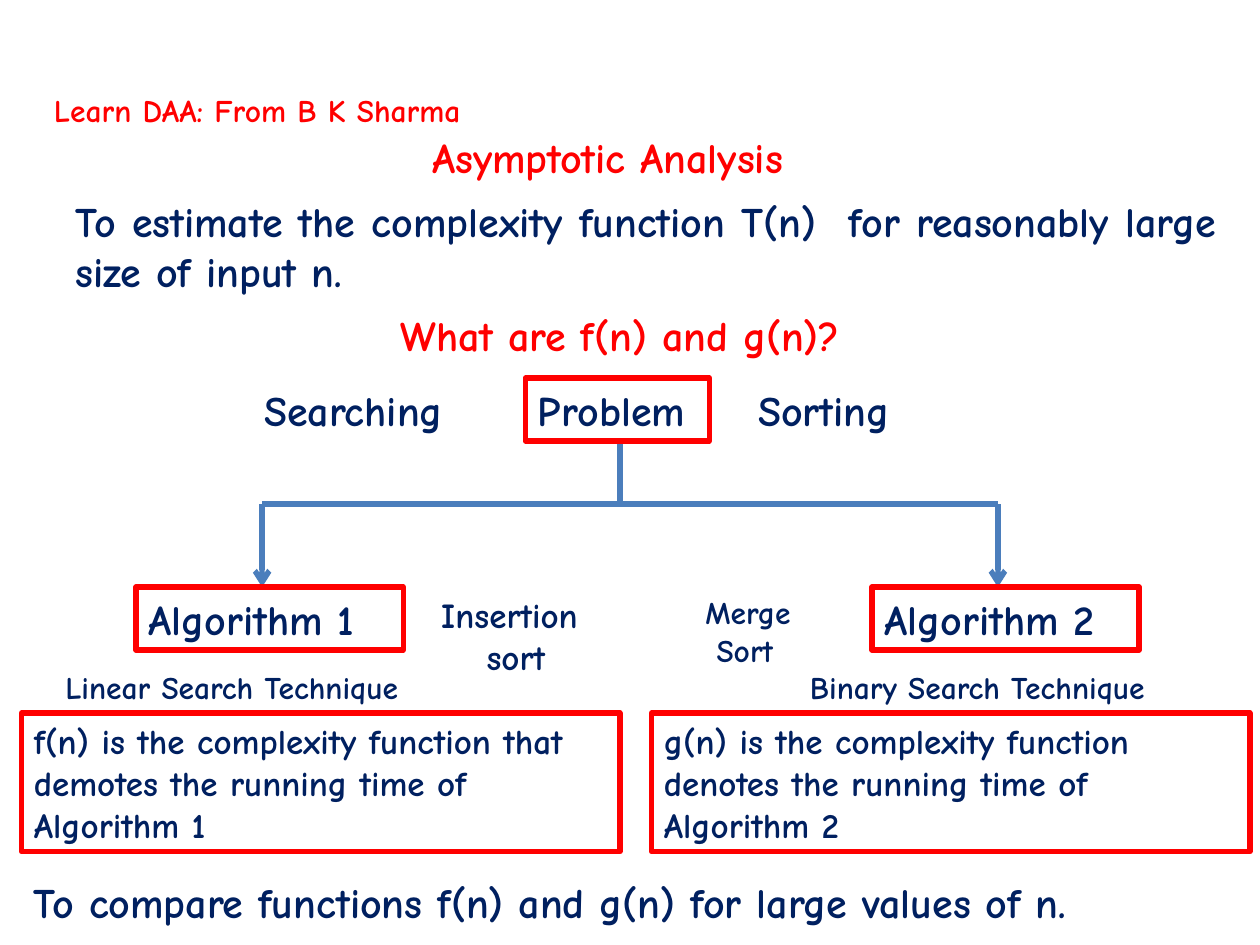
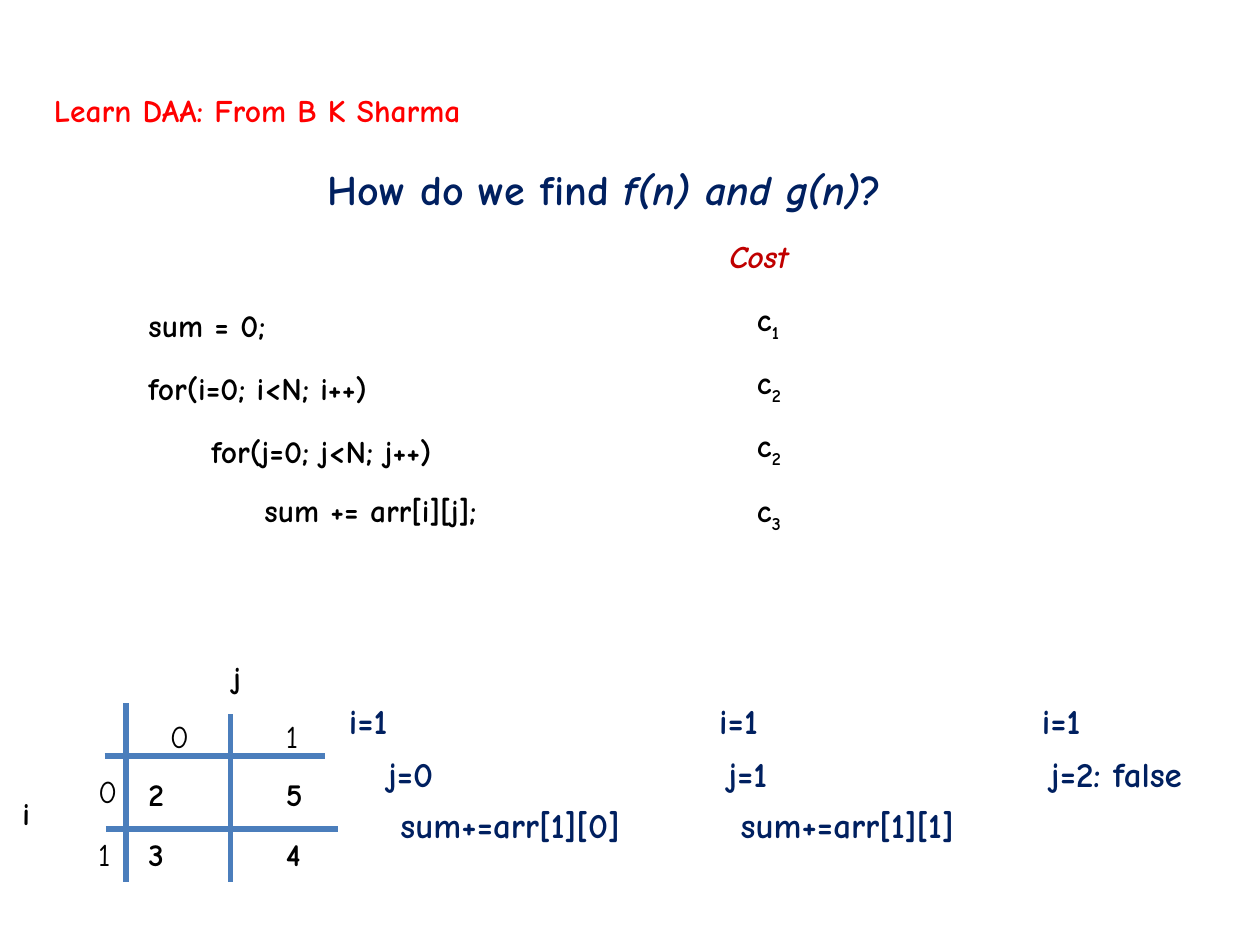
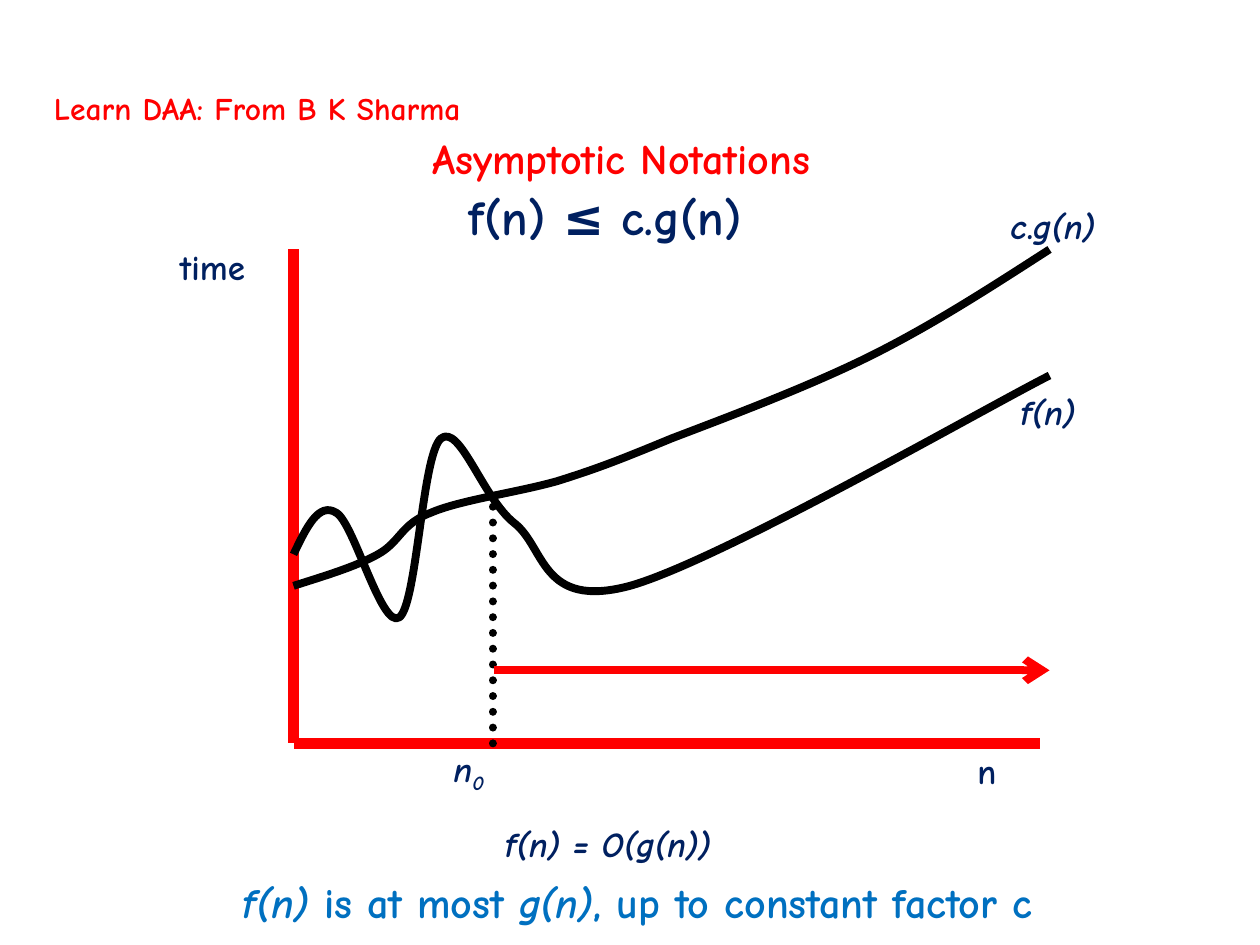
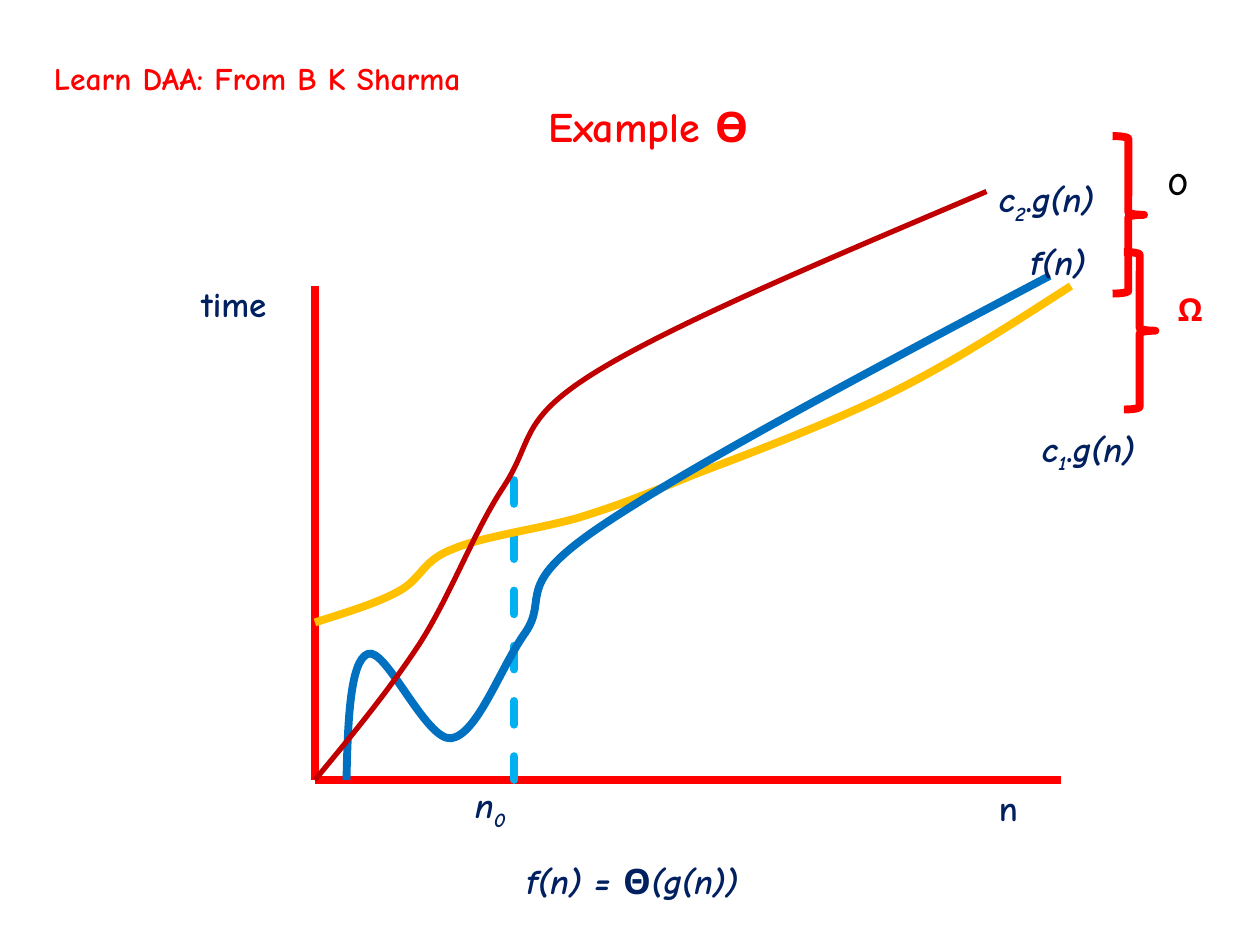
"""Build four lecture slides on asymptotic analysis and its notations."""
from dataclasses import dataclass
from typing import NamedTuple, Optional

from lxml.etree import SubElement
from pptx import Presentation
from pptx.dml.color import RGBColor
from pptx.enum.dml import MSO_LINE
from pptx.enum.shapes import MSO_CONNECTOR, MSO_SHAPE
from pptx.enum.text import MSO_ANCHOR, MSO_AUTO_SIZE, PP_ALIGN
from pptx.oxml.ns import qn
from pptx.util import Inches, Pt

FONT = "Comic Neue"
RED = RGBColor(0xFF, 0x00, 0x00)
DARK_RED = RGBColor(0xC0, 0x00, 0x00)
NAVY = RGBColor(0x00, 0x20, 0x60)
BLUE = RGBColor(0x00, 0x70, 0xC0)
SKY = RGBColor(0x00, 0xB0, 0xF0)
STEEL = RGBColor(0x4B, 0x7E, 0xBC)
GOLD = RGBColor(0xFF, 0xC0, 0x00)
BLACK = RGBColor(0x00, 0x00, 0x00)


class Run(NamedTuple):
    text: str
    italic: bool = False
    sub: bool = False


@dataclass
class Label:
    left: float
    top: float
    width: float
    lines: list[list[Run]]
    size: int = 20
    color: RGBColor = NAVY
    bold: bool = True
    align: PP_ALIGN = PP_ALIGN.LEFT
    wrap: bool = False
    rows: int = 1
    boxed: bool = False

    @property
    def box(self) -> tuple:
        height = 0.1 + max(self.rows, len(self.lines)) * self.size / 60
        return tuple(Inches(v) for v in (self.left, self.top, self.width, height))


@dataclass
class Line:
    start: tuple[float, float]
    end: tuple[float, float]
    color: RGBColor = STEEL
    weight: float = 3
    arrow: bool = False
    dash: Optional[MSO_LINE] = None


@dataclass
class Curve:
    points: list[tuple[float, float]]
    color: RGBColor = BLACK
    weight: float = 4.5


class Plot(NamedTuple):
    x: float
    y: float
    axis_weight: float
    threshold: float
    threshold_color: RGBColor
    threshold_dash: MSO_LINE


F_N = Run("f(n)", True)
G_N = Run("g(n)", True)

GROWTH = [
    (0, 1.25), (0.25, 1.33), (0.49, 1.4), (0.67, 1.5),
    (0.85, 1.6), (0.85, 1.74), (1.09, 1.83),
    (1.32, 1.93), (1.77, 1.99), (2.09, 2.08),
    (2.41, 2.18), (2.59, 2.25), (3, 2.42),
    (3.42, 2.58), (4.09, 2.83), (4.59, 3.08),
    (5.09, 3.33), (5.55, 3.63), (6, 3.92),
]
WAVY_BELOW = [
    (0, 1.5), (0.1, 1.71), (0.2, 1.92), (0.34, 1.83),
    (0.48, 1.75), (0.7, 0.9), (0.84, 1),
    (0.98, 1.1), (1.02, 2.29), (1.17, 2.42),
    (1.32, 2.54), (1.5, 1.95), (1.75, 1.75),
    (2, 1.56), (1.96, 1.06), (2.67, 1.25),
    (3.38, 1.45), (5.45, 2.64), (6, 2.92),
]
WAVY_BETWEEN = [
    (0.25, 0), (0.26, 0.47), (0.28, 0.95), (0.42, 1),
    (0.56, 1.06), (0.88, 0.31), (1.08, 0.33),
    (1.29, 0.36), (1.47, 0.89), (1.67, 1.17),
    (1.86, 1.45), (1.56, 1.53), (2.25, 2),
    (2.94, 2.47), (4.39, 3.24), (5.83, 4),
]
UPPER_BOUND = [
    (0, 0), (0.29, 0.35), (0.58, 0.7), (0.83, 1.08),
    (1.08, 1.47), (1.26, 1.97), (1.5, 2.33),
    (1.74, 2.7), (1.61, 2.86), (2.25, 3.25),
    (2.89, 3.64), (4.11, 4.15), (5.33, 4.67),
]


def plain(text: str) -> list[list[Run]]:
    return [[Run(text)]]


def write(sp, label: Label) -> None:
    tf = sp.text_frame
    tf.word_wrap = label.wrap
    tf.auto_size = MSO_AUTO_SIZE.SHAPE_TO_FIT_TEXT
    tf.vertical_anchor = MSO_ANCHOR.TOP
    for i, runs in enumerate(label.lines):
        p = tf.add_paragraph() if i else tf.paragraphs[0]
        p.alignment = label.align
        for run in runs:
            r = p.add_run()
            r.text = run.text
            font = r.font
            font.name, font.size = FONT, Pt(label.size)
            font.bold, font.italic = label.bold, run.italic
            font.color.rgb = label.color
            if run.sub:
                r._r.get_or_add_rPr().set("baseline", "-25000")


def outline(sp, color: RGBColor, weight: float) -> None:
    sp.shadow.inherit = False
    sp.fill.background()
    sp.line.color.rgb = color
    sp.line.width = Pt(weight)


def draw_labels(s, *labels: Label) -> None:
    for label in labels:
        if label.boxed:
            sp = s.shapes.add_shape(MSO_SHAPE.RECTANGLE, *label.box)
            outline(sp, RED, 3)
        else:
            sp = s.shapes.add_textbox(*label.box)
        write(sp, label)


def draw_lines(s, *lines: Line) -> None:
    for line in lines:
        ends = [Inches(v) for v in (*line.start, *line.end)]
        sp = s.shapes.add_connector(MSO_CONNECTOR.STRAIGHT, *ends)
        sp.line.color.rgb = line.color
        sp.line.width = Pt(line.weight)
        ln = sp.line._get_or_add_ln()
        if line.dash:
            sp.line.dash_style = line.dash
            ln.set("cap", "rnd")
        if line.arrow:
            SubElement(ln, qn("a:tailEnd")).set("type", "arrow")
        SubElement(sp._element.spPr, qn("a:effectLst"))


def draw_curve(s, plot: Plot, curve: Curve) -> None:
    """Draw a chain of cubic Bezier segments, measured up and right from the plot origin."""
    points = [(Inches(plot.x + x), Inches(plot.y - y)) for x, y in curve.points]
    builder = s.shapes.build_freeform(*points[0])
    builder.add_line_segments(points[1:], close=False)
    sp = builder.convert_to_shape()
    outline(sp, curve.color, curve.weight)
    steps = list(sp._element.iter(qn("a:lnTo")))
    for first, second, third in zip(steps[::3], steps[1::3], steps[2::3]):
        first.tag = qn("a:cubicBezTo")
        for step in (second, third):
            first.append(step[0])
            step.getparent().remove(step)


def draw_plot(s, plot: Plot, result: list[Run], *curves: Curve) -> None:
    x, y = plot.x, plot.y
    x0 = x + 1.58
    draw_lines(
        s,
        Line((x, y - 3.92), (x, y), RED, plot.axis_weight),
        Line((x, y), (x + 5.92, y), RED, plot.axis_weight),
        Line((x0, y), (x0, y - plot.threshold), plot.threshold_color, 4.5,
             dash=plot.threshold_dash),
    )
    for curve in curves:
        draw_curve(s, plot, curve)
    draw_labels(
        s,
        Label(x - 1, y - 4, 0.83, plain("time"), wrap=True),
        Label(x + 5.33, y, 0.83, plain("n"), wrap=True),
        Label(x + 1.17, y - 0.02, 0.83, [[Run("n", True), Run("0", True, True)]], wrap=True),
        Label(x + 1.58, y + 0.58, 2.5, [result], wrap=True),
    )


def new_slide(prs, title: Label, header_top: float = 0.67):
    s = prs.slides.add_slide(prs.slide_layouts[5])
    sp = s.shapes.title
    sp.left, sp.top, sp.width, sp.height = title.box
    write(sp, title)
    draw_labels(s, Label(0.33, header_top, 3.91, plain("Learn DAA: From B K Sharma"), 18, RED))
    return s


def analysis_slide(prs) -> None:
    s = new_slide(prs, Label(3.33, 0.99, 3.45, plain("Asymptotic Analysis"), 24, RED))
    root, left, right, bar = 4.92, 2.08, 7.92, 4
    draw_lines(
        s,
        Line((root, 3.5), (root, bar)),
        Line((left, bar), (right, bar)),
        *(Line((x, bar), (x, 4.66), arrow=True) for x in (left, right)),
    )
    draw_labels(
        s,
        Label(0.5, 1.5, 9.25,
              plain("To estimate the complexity function T(n)  for reasonably large size of input n."),
              24, align=PP_ALIGN.JUSTIFY, wrap=True, rows=2),
        Label(3.08, 2.41, 4.16, plain("What are f(n) and g(n)?"), 24, RED),
        Label(2, 3, 1.79, plain("Searching"), 24),
        Label(4.17, 3, 1.46, plain("Problem"), 24, boxed=True),
        Label(5.92, 3, 1.38, plain("Sorting"), 24),
        Label(1.08, 4.66, 2.12, plain("Algorithm 1"), 24, boxed=True),
        Label(6.92, 4.66, 2.12, plain("Algorithm 2"), 24, boxed=True),
        Label(3.33, 4.66, 1.43, [[Run("Insertion")], [Run(" sort")]], align=PP_ALIGN.CENTER),
        Label(5.5, 4.66, 0.96, [[Run("Merge")], [Run(" Sort")]], 18),
        Label(0.42, 5.25, 3.22, plain("Linear Search Technique"), 18),
        Label(6.33, 5.25, 3.23, plain("Binary Search Technique"), 18),
        Label(0.17, 5.66, 4.75,
              plain("f(n) is the complexity function that demotes the running time of Algorithm 1"),
              wrap=True, rows=3, boxed=True),
        Label(5.17, 5.66, 4.75,
              plain("g(n) is the complexity function denotes the running time of Algorithm 2"),
              wrap=True, rows=3, boxed=True),
        Label(0.17, 6.91, 9.58,
              plain("To compare functions f(n) and g(n) for large values of n."), 24, wrap=True),
    )


def cost_slide(prs) -> None:
    question = [Run("How do we find "), Run("f(n) and g(n)", True), Run("?")]
    s = new_slide(prs, Label(2.5, 1.25, 5.12, [question], 24))
    draw_labels(s, Label(5.69, 1.83, 0.73, [[Run("Cost", True)]], 18, DARK_RED))
    statements = [
        (1.08, 2.38, 1.29, "sum = 0;", 2.33, "1"),
        (1.08, 2.88, 2.39, "for(i=0; i<N; i++)", 2.83, "2"),
        (1.58, 3.38, 2.49, "for(j=0; j<N; j++)", 3.33, "2"),
        (2, 3.85, 2.22, "sum += arr[i][j];", 3.85, "3"),
    ]
    for left, top, width, code, cost_top, index in statements:
        draw_labels(
            s,
            Label(left, top, width, plain(code), 18, BLACK),
            Label(5.91, cost_top, 0.44, [[Run("c"), Run(index, sub=True)]], 18, BLACK),
        )
    draw_lines(
        s,
        Line((1, 5.58), (1, 7)),
        Line((1.83, 5.67), (1.83, 7)),
        Line((0.83, 6), (2.58, 6)),
        Line((0.84, 6.58), (2.68, 6.58)),
    )
    grid = [
        (0.08, 6.25, "i", True), (1.75, 5.17, "j", True),
        (1.25, 5.64, "0", False), (2.17, 5.64, "1", False),
        (0.68, 6.08, "0", False), (0.68, 6.58, "1", False),
        (1.08, 6.1, "2", True), (2.17, 6.1, "5", True),
        (1.08, 6.58, "3", True), (2.17, 6.58, "4", True),
    ]
    for left, top, text, bold in grid:
        draw_labels(s, Label(left, top, 0.36, plain(text), 18, BLACK, bold))
    traces = [
        [(2.67, 0.62, "i=1"), (2.98, 0.66, "j=0"), (3.08, 2.24, "sum+=arr[1][0]")],
        [(5.61, 0.62, "i=1"), (5.68, 0.66, "j=1"), (5.78, 2.24, "sum+=arr[1][1]")],
        [(8.17, 0.62, "i=1"), (8.24, 1.57, "j=2: false")],
    ]
    for trace in traces:
        for top, (left, width, text) in zip((5.5, 5.92, 6.33), trace):
            draw_labels(s, Label(left, top, width, plain(text)))


def big_o_slide(prs) -> None:
    s = new_slide(prs, Label(3.33, 1, 3.71, plain("Asymptotic Notations"), 24, RED), 0.66)
    plot = Plot(2.33, 5.9, 6, 2, BLACK, MSO_LINE.ROUND_DOT)
    draw_plot(s, plot, [Run("f(n) = O(g(n))", True)], Curve(WAVY_BELOW), Curve(GROWTH))
    draw_lines(s, Line((3.92, 5.32), (8.33, 5.32), RED, 4.5, arrow=True))
    summary = [F_N, Run(" is at most "), G_N, Run(", up to constant factor c")]
    draw_labels(
        s,
        Label(3.62, 1.43, 2.55, plain("f(n) ≤ c.g(n)"), 28),
        Label(7.92, 1.57, 1.08, [[Run("c", True), Run("."), G_N]], wrap=True),
        Label(8, 3.05, 0.83, [[F_N]], wrap=True),
        Label(1.83, 6.91, 7.48, [summary], 24, BLUE),
    )


def theta_slide(prs) -> None:
    s = new_slide(prs, Label(4.25, 0.75, 1.93, plain("Example Ө"), 24, RED), 0.42)
    plot = Plot(2.5, 6.19, 4.5, 2.42, SKY, MSO_LINE.DASH)
    draw_plot(
        s, plot, [Run("f(n) = ", True), Run("Θ"), Run("(g(n))", True)],
        Curve(GROWTH, GOLD), Curve(WAVY_BETWEEN, BLUE), Curve(UPPER_BOUND, DARK_RED, 3),
    )
    for left, top, index in ((8.17, 3.34, "1"), (7.83, 1.36, "2")):
        bound = [Run("c", True), Run(index, True, True), Run("."), G_N]
        draw_labels(s, Label(left, top, 1.08, [bound], wrap=True))
    for left, top in ((8.83, 1.08), (8.92, 2)):
        sp = s.shapes.add_shape(MSO_SHAPE.RIGHT_BRACE, Inches(left), Inches(top),
                                Inches(0.25), Inches(1.25))
        outline(sp, RED, 4.5)
    draw_labels(
        s,
        Label(8.08, 1.86, 1.08, [[F_N]], wrap=True),
        Label(9.17, 1.25, 0.4, plain("O"), 18, BLACK),
        Label(9.25, 2.25, 0.4, plain("Ω"), 18, RED),
    )


def main() -> None:
    prs = Presentation()
    prs.slide_width, prs.slide_height = Inches(10), Inches(7.5)
    for build in (analysis_slide, cost_slide, big_o_slide, theta_slide):
        build(prs)
    prs.save("out.pptx")


if __name__ == "__main__":
    main()
